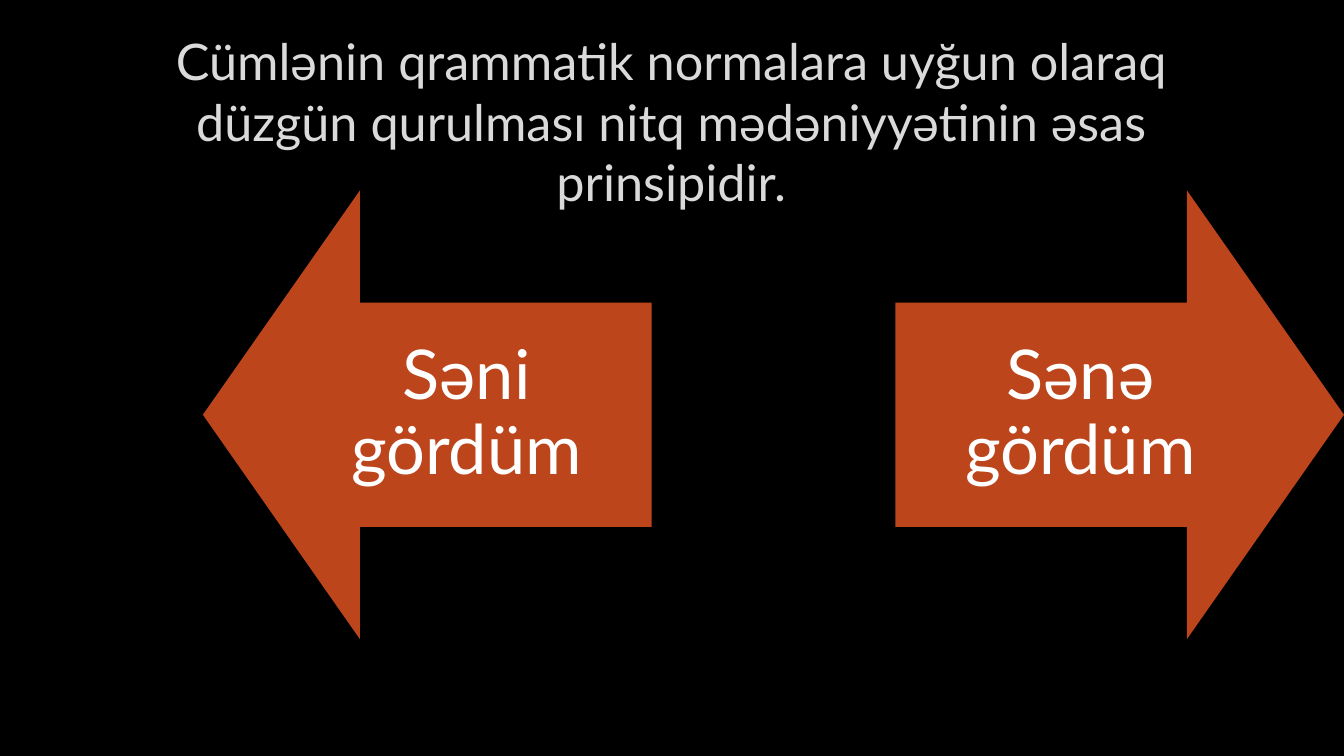
import pptx
import pptx.util
import pptx.dml.color
import pptx.enum.shapes
import pptx.enum.text

Pt = pptx.util.Pt
SHAPE = pptx.enum.shapes.MSO_SHAPE

# Content
TITLE = ("Cümlənin qrammatik normalara uyğun olaraq düzgün qurulması "
         "nitq mədəniyyətinin əsas prinsipidir.")
ARROWS = [  # text, shape, left
    ("Səni gördüm", SHAPE.LEFT_ARROW, 144.9),
    ("Sənə gördüm", SHAPE.RIGHT_ARROW, 639.5),
]

# Layout and style
SLIDE_W, SLIDE_H = 960, 540
TITLE_BOX = (72, 48.2, 815, 76.3)
ARROW_TOP, ARROW_SIZE = 136, 320.5
ARROW_INSET = 27.4
SHAFT, HEAD = 0.5, 0.35
FONT = "Lato"
BLACK, GREY, RUST, WHITE = "000000", "DADADA", "BC451B", "FFFFFF"


def paint(color_format, hex_color):
    color_format.rgb = pptx.dml.color.RGBColor.from_string(hex_color)


def fill(fill_format, hex_color):
    fill_format.solid()
    paint(fill_format.fore_color, hex_color)


def write(tf, text, size, color, spacing):
    tf.word_wrap = True
    tf.auto_size = pptx.enum.text.MSO_AUTO_SIZE.NONE
    tf.vertical_anchor = pptx.enum.text.MSO_ANCHOR.MIDDLE
    p = tf.paragraphs[0]
    p.text = text
    p.alignment = pptx.enum.text.PP_ALIGN.CENTER
    p.line_spacing = spacing
    p.font.name = FONT
    p.font.size = Pt(size)
    paint(p.font.color, color)


prs = pptx.Presentation()
prs.slide_width, prs.slide_height = Pt(SLIDE_W), Pt(SLIDE_H)
s = prs.slides.add_slide(prs.slide_layouts[5])
fill(s.background.fill, BLACK)

# Title
title = s.shapes.title
title.left, title.top, title.width, title.height = map(Pt, TITLE_BOX)
write(title.text_frame, TITLE, 36, GREY, 1.0)

# Opposing arrows
for text, kind, left in ARROWS:
    sp = s.shapes.add_shape(kind, Pt(left), Pt(ARROW_TOP),
                            Pt(ARROW_SIZE), Pt(ARROW_SIZE))
    sp.adjustments[0], sp.adjustments[1] = SHAFT, HEAD
    sp.shadow.inherit = False
    fill(sp.fill, RUST)
    sp.line.fill.background()
    tf = sp.text_frame
    tf.margin_left = tf.margin_right = Pt(ARROW_INSET)
    tf.margin_top = tf.margin_bottom = Pt(ARROW_INSET)
    write(tf, text, 49, WHITE, 0.9)

prs.save("out.pptx")
